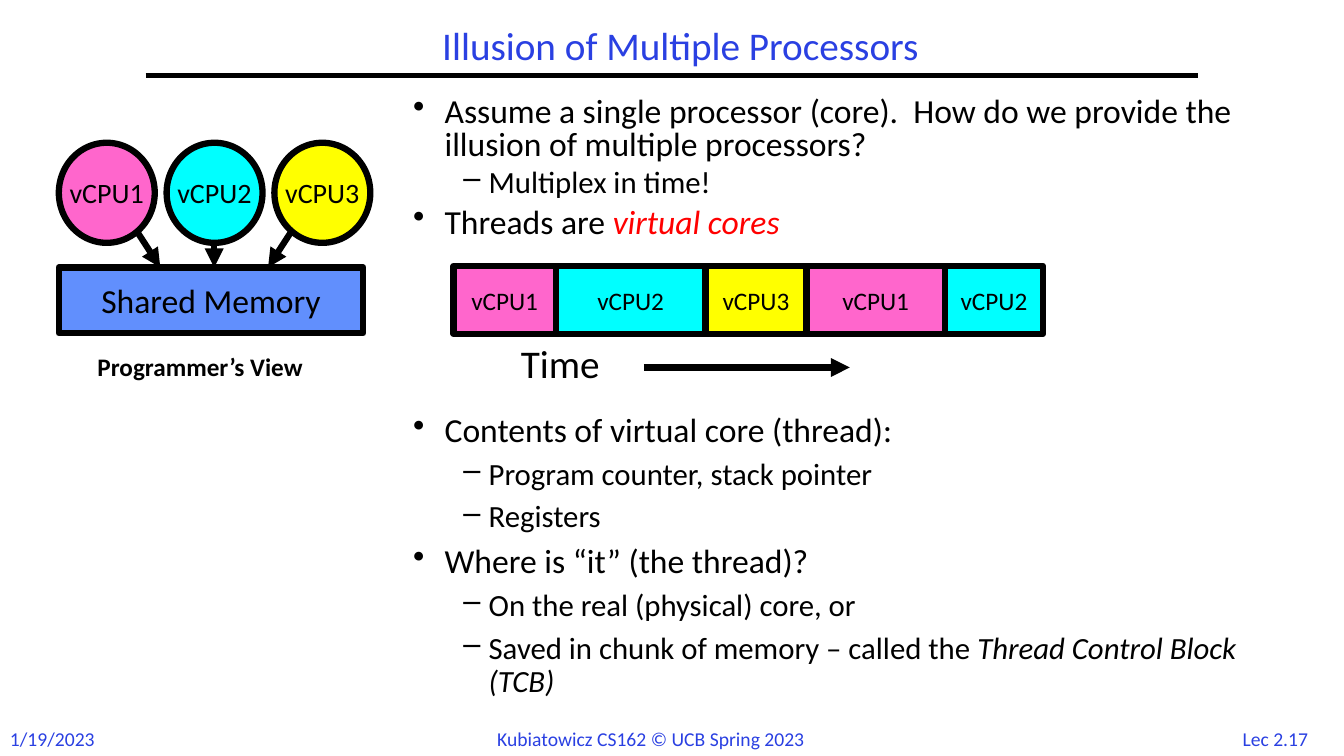
from pptx import Presentation
from pptx.dml.color import RGBColor
from pptx.enum.shapes import MSO_CONNECTOR as Link, MSO_SHAPE as Preset
from pptx.enum.text import MSO_ANCHOR as Anchor, PP_ALIGN as Align
from pptx.oxml.ns import qn
from pptx.util import Pt
from lxml.etree import SubElement

COLORS = {
    "ink": "000000", "heading": "2A40E2", "accent": "FF0000", "memory": "618FFD",
    "vCPU1": "FF66CC", "vCPU2": "00FFFF", "vCPU3": "FFFF00",
}
LEVELS = [("•", 24, 22.5, -22.5), ("–", 22, 54, -18)]


def color(name):
    return RGBColor.from_string(COLORS[name])


def write(paragraph, text, size=24, ink="ink", bold=False, italic=False, align=None):
    if align is not None:
        paragraph.alignment = align
    run = paragraph.add_run()
    run.text = text
    font = run.font
    font.name, font.size = "Calibri", Pt(size)
    font.bold, font.italic = bold, italic
    font.color.rgb = color(ink)


class SlideBuilder:
    def __init__(self, slide, border=4.5):
        self.shapes = slide.shapes
        self.border = border

    def frame(self, left, top, width, height, anchor=Anchor.TOP):
        frame = self.shapes.add_textbox(Pt(left), Pt(top), Pt(width), Pt(height)).text_frame
        frame.word_wrap = True
        frame.vertical_anchor = anchor
        return frame

    def label(self, text, left, top, width, height, anchor=Anchor.TOP, **style):
        write(self.frame(left, top, width, height, anchor).paragraphs[0], text, **style)

    def block(self, text, preset, left, top, width, height, fill, size):
        block = self.shapes.add_shape(preset, Pt(left), Pt(top), Pt(width), Pt(height))
        block.shadow.inherit = False
        block.fill.solid()
        block.fill.fore_color.rgb = color(fill)
        block.line.color.rgb = color("ink")
        block.line.width = Pt(self.border)
        frame = block.text_frame
        frame.word_wrap = False
        frame.vertical_anchor = Anchor.MIDDLE
        write(frame.paragraphs[0], text, size=size, align=Align.CENTER)

    def line(self, x1, y1, x2, y2, width=None, arrow=True):
        line = self.shapes.add_connector(Link.STRAIGHT, Pt(x1), Pt(y1), Pt(x2), Pt(y2))
        line.line.color.rgb = color("ink")
        line.line.width = Pt(width or self.border)
        if arrow:
            SubElement(line.line._get_or_add_ln(), qn("a:tailEnd"), type="triangle")
        SubElement(line._element.spPr, qn("a:effectLst"))

    def bullets(self, items, left, top, width, height, spacing, gap):
        frame = self.frame(left, top, width, height)
        for index, (level, runs) in enumerate(items):
            paragraph = frame.add_paragraph() if index else frame.paragraphs[0]
            mark, size, margin, indent = LEVELS[level]
            paragraph.level = level
            paragraph.line_spacing = spacing
            paragraph.space_before = Pt(gap * size if index else 0)
            props = paragraph._p.get_or_add_pPr()
            props.set("marL", str(Pt(margin)))
            props.set("indent", str(Pt(indent)))
            SubElement(props, qn("a:buChar"), char=mark)
            for text, style in runs:
                write(paragraph, text, size=size, **style)


def main():
    deck = Presentation()
    deck.slide_width, deck.slide_height = Pt(960), Pt(540)
    page = SlideBuilder(deck.slides.add_slide(deck.slide_layouts[6]))

    for text, left, width, align in [
        ("1/19/2023", 0, 90, Align.LEFT),
        ("Kubiatowicz CS162 © UCB Spring 2023", 348, 265, Align.LEFT),
        ("Lec 2.17", 876, 70, Align.CENTER),
    ]:
        page.label(text, left, 515.5, width, 24, size=14, ink="heading", align=align)
    page.line(104, 54, 856, 54, width=3, arrow=False)
    page.label("Illusion of Multiple Processors", 138, 11, 696, 42, Anchor.MIDDLE,
               size=28, ink="heading", align=Align.CENTER)

    page.bullets([
        (0, [("Assume a single processor (core).  How do we provide the "
              "illusion of multiple processors?", {})]),
        (1, [("Multiplex in time!", {})]),
        (0, [("Threads are ", {}), ("virtual cores", {"ink": "accent", "italic": True})]),
    ], 288, 66.5, 642, 112, spacing=0.8, gap=0.25)
    page.bullets([
        (0, [("Contents of virtual core (thread):", {})]),
        (1, [("Program counter, stack pointer", {})]),
        (1, [("Registers", {})]),
        (0, [("Where is “it” (the thread)?", {})]),
        (1, [("On the real (physical) core, or", {})]),
        (1, [("Saved in chunk of memory – called the ", {}),
             ("Thread Control Block (TCB)", {"italic": True})]),
    ], 288, 291.5, 642, 220, spacing=0.9, gap=0.3)

    slice_left = 324
    for cpu, width in [("vCPU1", 73), ("vCPU2", 107), ("vCPU3", 72), ("vCPU1", 99), ("vCPU2", 70)]:
        page.block(cpu, Preset.RECTANGLE, slice_left, 190, width, 48.5, cpu, 18)
        slice_left += width
    page.label("Time", 365, 238.5, 96, 41, size=28)
    page.line(460, 262.5, 607, 262.5)

    for index, cpu in enumerate(["vCPU1", "vCPU2", "vCPU3"]):
        page.block(cpu, Preset.OVAL, 42 + 77 * index, 102, 68.5, 71.5, cpu, 20)
    page.block("Shared Memory", Preset.RECTANGLE, 42, 191, 217.5, 47, "memory", 24)
    for start, top, end in [(97, 164, 114.5), (153, 173.5, 153), (209, 164, 191.5)]:
        page.line(start, top, end, 191)
    page.label("Programmer’s View", 62.5, 247.5, 184, 29, size=18, bold=True)

    deck.save("out.pptx")


if __name__ == "__main__":
    main()
